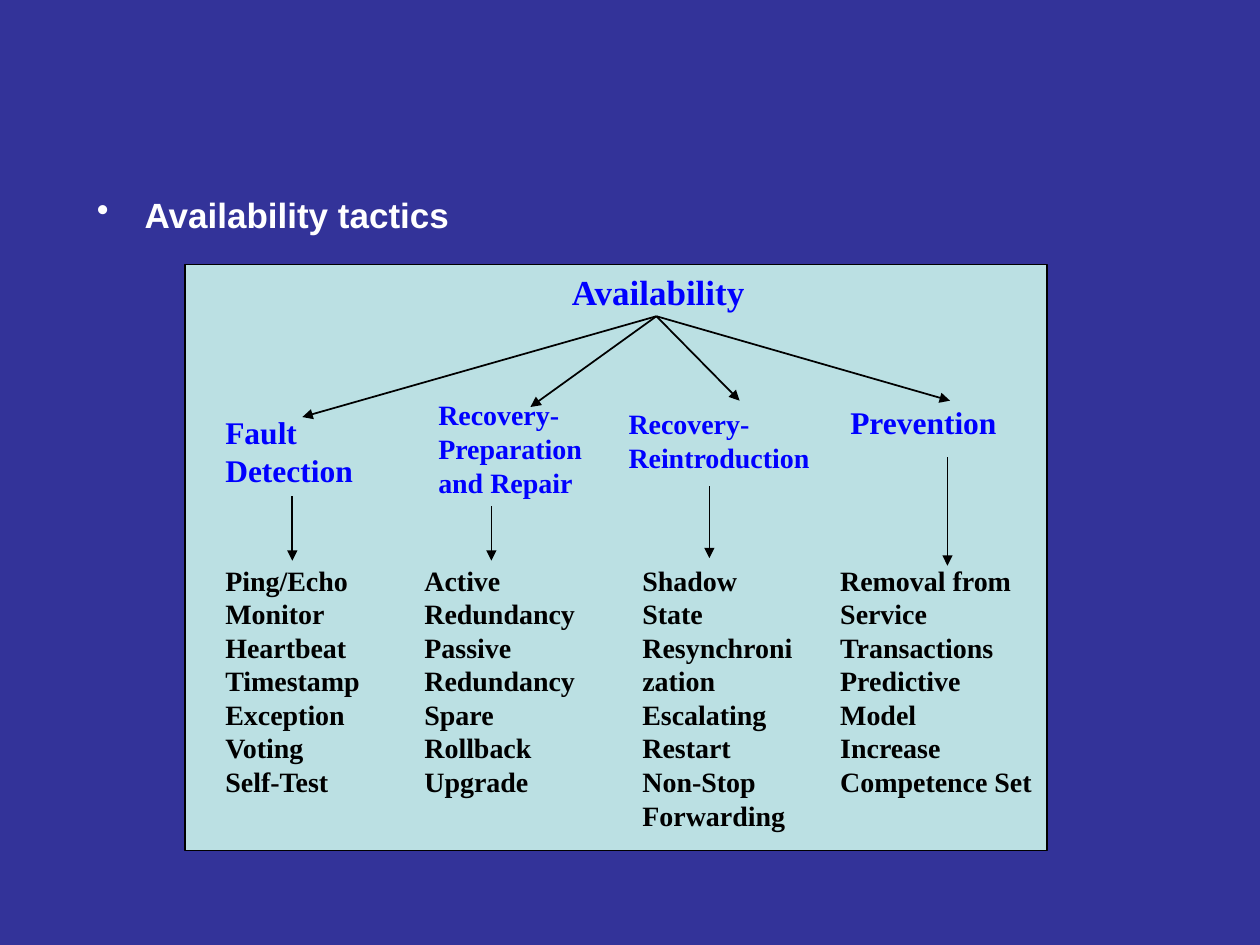
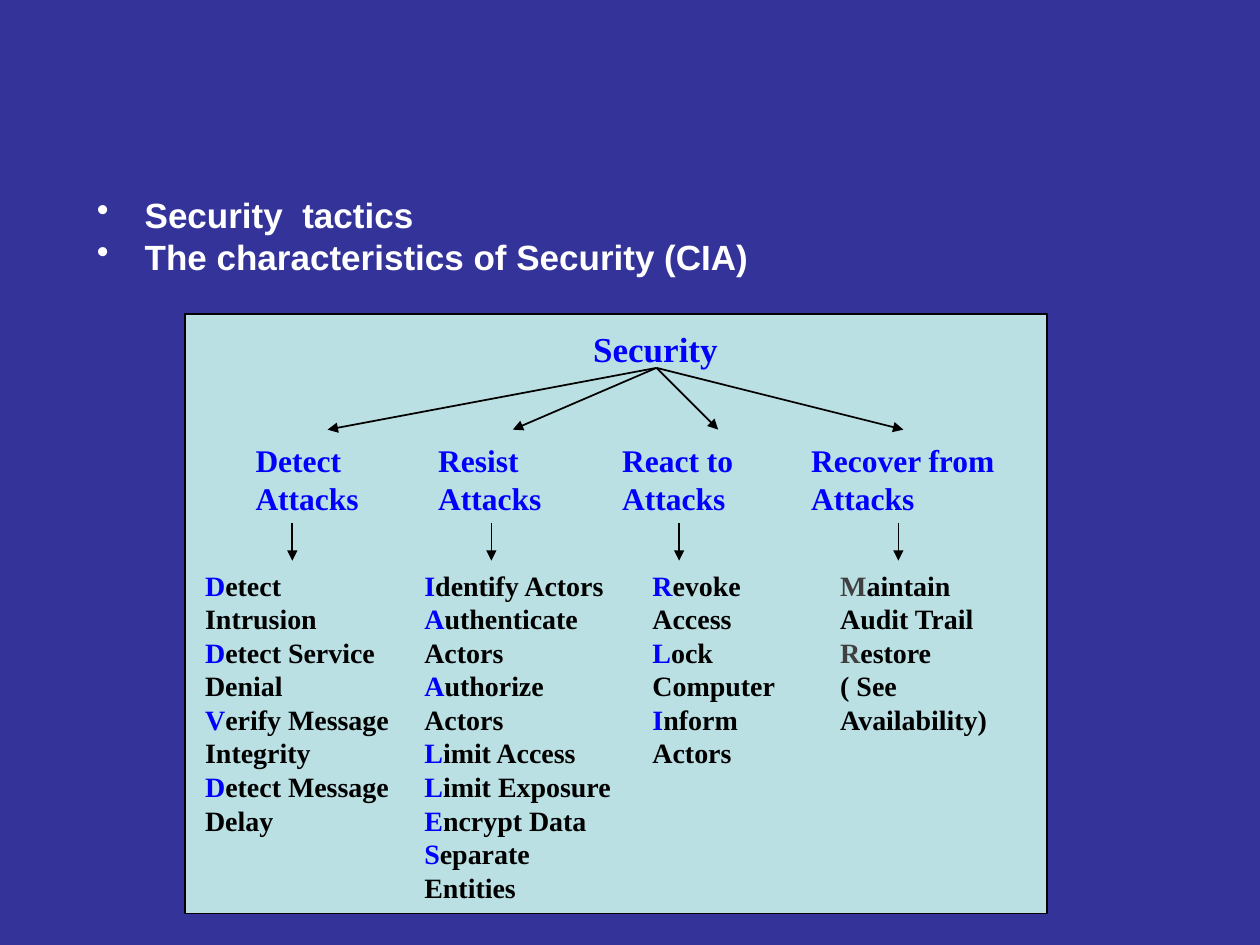
"""Two slides of quality-attribute tactics, each drawn as a tree in a panel."""
from dataclasses import dataclass

import pptx
import pptx.dml.color
import pptx.enum.shapes
import pptx.enum.text
import pptx.oxml
import pptx.oxml.ns
import pptx.util
from pptx.util import Inches

COLORS = {
    "background": "333399",
    "panel": "BBE0E3",
    "bullet": "FFFFFF",
    "heading": "0000FF",
    "text": "000000",
    "line": "000000",
    "grey": "404040",
}
BULLET_FONT = "Arial"
TREE_FONT = "Times New Roman"
BULLET_BOX = (0.67, 1.55, 9, 4.95)
BULLET_INDENT = 0.38
PANEL_LEFT, PANEL_WIDTH = 1.47, 6.84
APEX_X = 3.74


@dataclass
class Branch:
    """A heading, its two arrows and its tactics, measured from the panel corner."""
    heading: str
    size: int
    heading_box: tuple
    spoke_end: tuple
    drop: tuple
    tactics_box: tuple
    tactics: list
    initial: str = "text"


def rgb(name):
    """Return the named colour."""
    return pptx.dml.color.RGBColor.from_string(COLORS[name])


def style_run(r, font, size, color):
    """Format a run in bold."""
    r.font.name = font
    r.font.size = pptx.util.Pt(size)
    r.font.bold = True
    r.font.color.rgb = rgb(color)


def add_text(slide, origin, box, lines, size, color, initial=None):
    """Add a wrapped text box at an offset from origin, colouring initials if asked."""
    left, top, width, height = box
    tb = slide.shapes.add_textbox(Inches(origin[0] + left), Inches(origin[1] + top),
                                  Inches(width), Inches(height))
    tf = tb.text_frame
    tf.word_wrap = True
    tf.auto_size = pptx.enum.text.MSO_AUTO_SIZE.SHAPE_TO_FIT_TEXT
    for i, line in enumerate(lines):
        p = tf.paragraphs[0] if i == 0 else tf.add_paragraph()
        parts = [(line, color)]
        if initial and initial != color:
            parts = [(line[:1], initial), (line[1:], color)]
        for text, part_color in parts:
            r = p.add_run()
            r.text = text
            style_run(r, TREE_FONT, size, part_color)


def add_arrow(slide, origin, start, end):
    """Add an arrow between two points measured from origin."""
    x, y = origin
    c = slide.shapes.add_connector(
        pptx.enum.shapes.MSO_CONNECTOR.STRAIGHT,
        Inches(x + start[0]), Inches(y + start[1]), Inches(x + end[0]), Inches(y + end[1]))
    c.line.color.rgb = rgb("line")
    c.line.width = pptx.util.Pt(1)
    tail = pptx.oxml.ns.qn("a:tailEnd")
    c.line._get_or_add_ln().append(c._element.makeelement(tail, {"type": "triangle"}))
    c._element.spPr.append(c._element.makeelement(pptx.oxml.ns.qn("a:effectLst"), {}))


def add_bullets(slide, box, lines):
    """Add the bulleted lines at the head of a slide."""
    tf = slide.shapes.add_textbox(*map(Inches, box)).text_frame
    tf.word_wrap = True
    for i, line in enumerate(lines):
        p = tf.paragraphs[0] if i == 0 else tf.add_paragraph()
        p.text = line
        p.line_spacing = 0.8
        p.space_before = pptx.util.Pt(5)
        style_run(p.runs[0], BULLET_FONT, 20, "bullet")
        pPr = p._p.get_or_add_pPr()
        pPr.set("marL", str(Inches(BULLET_INDENT)))
        pPr.set("indent", str(-Inches(BULLET_INDENT)))
        bu_color = pPr.makeelement(pptx.oxml.ns.qn("a:buClr"), {})
        bu_color.append(pPr.makeelement(pptx.oxml.ns.qn("a:srgbClr"), {"val": COLORS["bullet"]}))
        pPr.append(bu_color)
        pPr.append(pPr.makeelement(pptx.oxml.ns.qn("a:buChar"), {"char": "•"}))


def add_tree(slide, box, root, root_box, apex_y, branches):
    """Add a panel holding a root, its branches and their tactics."""
    sp = slide.shapes.add_shape(pptx.enum.shapes.MSO_SHAPE.RECTANGLE, *map(Inches, box))
    sp.shadow.inherit = False
    sp.fill.solid()
    sp.fill.fore_color.rgb = rgb("panel")
    sp.line.color.rgb = rgb("line")
    sp.line.width = pptx.util.Pt(1)
    origin = box[:2]
    add_text(slide, origin, root_box, [root], 20, "heading")
    for b in branches:
        add_text(slide, origin, b.heading_box, [b.heading], b.size, "heading")
        add_text(slide, origin, b.tactics_box, b.tactics, 16, "text", b.initial)
        add_arrow(slide, origin, (APEX_X, apex_y), b.spoke_end)
        x, start, end = b.drop
        add_arrow(slide, origin, (x, start), (x, end))


def tactics_slide(prs, bullets, panel_top, panel_height, *tree):
    """Add one slide with bullets above a tactics tree."""
    slide = prs.slides.add_slide(prs.slide_layouts[6])
    slide.background.fill.solid()
    slide.background.fill.fore_color.rgb = rgb("background")
    add_bullets(slide, BULLET_BOX, bullets)
    add_tree(slide, (PANEL_LEFT, panel_top, PANEL_WIDTH, panel_height), *tree)


AVAILABILITY = [
    Branch("Fault Detection", 18, (0.22, 1.13, 1.34, 0.7), (0.93, 1.21), (0.85, 1.84, 2.35),
           (0.22, 2.32, 1.42, 1.97),
           ["Ping/Echo", "Monitor", "Heartbeat", "Timestamp", "Exception", "Voting",
            "Self-Test"]),
    Branch("Recovery-Preparation and Repair", 16, (1.91, 1.01, 1.65, 0.9), (2.74, 1.13),
           (2.43, 1.92, 2.35), (1.8, 2.32, 1.49, 1.97),
           ["Active Redundancy", "Passive Redundancy", "Spare", "Rollback", "Upgrade"]),
    Branch("Recovery-Reintroduction", 16, (3.42, 1.08, 1.77, 0.64), (4.4, 1.08),
           (4.16, 1.76, 2.33), (3.53, 2.32, 1.42, 2.24),
           ["Shadow", "State Resynchronization", "Escalating Restart", "Non-Stop Forwarding"]),
    Branch("Prevention", 18, (5.18, 1.05, 1.5, 0.4), (6.07, 1.08), (6.05, 1.53, 2.39),
           (5.1, 2.32, 1.75, 1.97),
           ["Removal from Service", "Transactions", "Predictive Model",
            "Increase Competence Set"]),
]


def security_branch(heading, heading_x, heading_width, spoke_x, drop_x, tactics_x,
                    tactics_width, tactics_height, tactics, initial="heading"):
    """Return a branch on the rows that all security branches share."""
    return Branch(heading, 18, (heading_x, 0.96, heading_width, 0.7), (spoke_x, 0.92),
                  (drop_x, 1.66, 1.96), (tactics_x, 1.97, tactics_width, tactics_height),
                  tactics, initial)


SECURITY = [
    security_branch("Detect Attacks", 0.46, 1.34, 1.13, 0.85, 0.06, 1.73, 2.24,
                    ["Detect Intrusion", "Detect Service Denial", "Verify Message Integrity",
                     "Detect Message Delay"]),
    security_branch("Resist Attacks", 1.91, 1.37, 2.6, 2.43, 1.8, 1.77, 2.77,
                    ["Identify Actors", "Authenticate Actors", "Authorize Actors",
                     "Limit Access", "Limit Exposure", "Encrypt Data", "Separate Entities"]),
    security_branch("React to Attacks", 3.37, 1.44, 4.23, 3.92, 3.61, 1.25, 1.7,
                    ["Revoke Access", "Lock Computer", "Inform Actors"]),
    security_branch("Recover from Attacks", 4.87, 1.66, 5.7, 5.66, 5.1, 1.42, 1.44,
                    ["Maintain Audit Trail", "Restore ( See Availability)"], "grey"),
]


def main():
    """Build and save both slides."""
    prs = pptx.Presentation()
    prs.slide_width, prs.slide_height = Inches(10), Inches(7.5)
    tactics_slide(prs, ["Availability tactics"], 2.1, 4.65,
                  "Availability", (2.97, 0, 1.6, 0.44), 0.41, AVAILABILITY)
    tactics_slide(prs, ["Security  tactics", "The characteristics of Security (CIA)"], 2.49, 4.76,
                  "Security", (3.14, 0.06, 1.26, 0.44), 0.43, SECURITY)
    prs.save("out.pptx")


if __name__ == "__main__":
    main()
